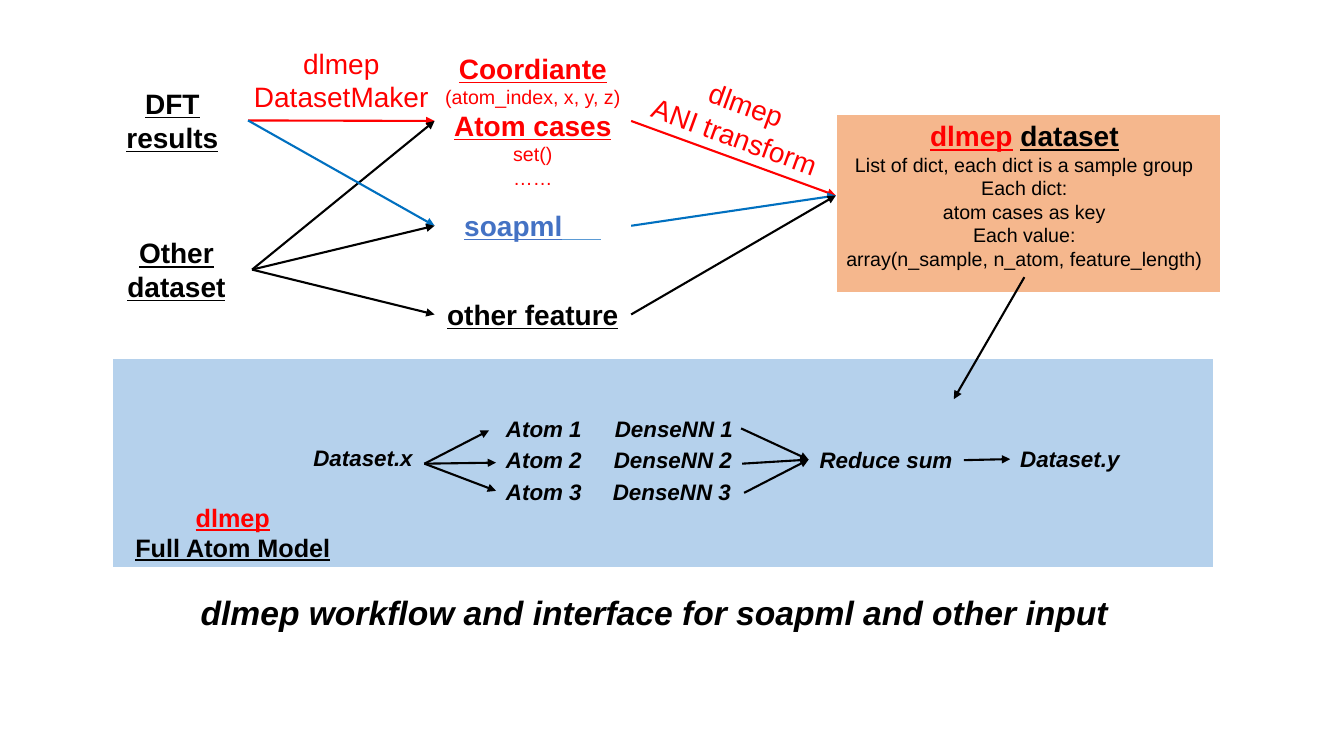
import pptx
import pptx.util
import pptx.dml.color
import pptx.enum.shapes
import pptx.enum.text
import pptx.oxml
import pptx.oxml.ns
import lxml.etree

Inches = pptx.util.Inches
ALIGN = pptx.enum.text.PP_ALIGN

COLORS = {"black": "000000", "red": "FF0000", "blue": "0070C0", "indigo": "4472C4",
          "sky": "5B9BD5", "orange": "ED7D31", "white": "FFFFFF"}

# Text styles: size, colour, flags (b bold, i italic, u underlined)
HEAD = (20, "black", "bu")
RED_HEAD = (20, "red", "bu")
RED_TOOL = (20, "red", "")
RED_NOTE = (14, "red", "")
NOTE = (14, "black", "")
STEP = (16, "black", "bi")

# Panels: left, top, width, height, fill, opacity in percent
PANELS = [
    (8.29, 1.13, 3.82, 1.77, "orange", 55),
    (1.11, 3.55, 10.93, 2.08, "sky", 45),
]

# Labels: name -> (left, top, width, height), wrap, rotation, paragraphs of (text, style) runs
LABELS = {
    "dft": ((0.96, 0.81, 1.5, 0.77), True, 0, [[("DFT results", HEAD)]]),
    "other": ((1, 2.29, 1.5, 0.77), True, 0, [[("Other dataset", HEAD)]]),
    "maker": ((2.41, 0.41, 1.95, 0.77), False, 0,
              [[("dlmep", RED_TOOL)], [("DatasetMaker", RED_TOOL)]]),
    "coordinate": ((4.31, 0.46, 1.95, 1.48), False, 0,
                   [[("Coordiante", RED_HEAD)], [("(atom_index, x, y, z)", RED_NOTE)],
                    [("Atom cases", RED_HEAD)], [("set()", RED_NOTE)], [("……", RED_NOTE)]]),
    "soapml": ((4.31, 2.02, 1.95, 0.44), True, 0,
               [[("soapml", (20, "indigo", "bu")), ("     ", (20, "sky", "bu"))]]),
    "feature": ((4.31, 2.9, 1.95, 0.44), True, 0, [[("other feature", HEAD)]]),
    "transform": ((6.38, 0.81, 1.93, 0.77), False, 20,
                  [[("dlmep", RED_TOOL)], [("ANI transform", RED_TOOL)]]),
    "dataset": ((8.29, 1.13, 3.74, 1.62), False, 0,
                [[("dlmep", RED_HEAD), (" ", (20, "black", "b")), ("dataset", HEAD)],
                 [("List of dict, each dict is a sample group", NOTE)],
                 [("Each dict:", NOTE)], [("atom cases as key", NOTE)],
                 [("Each value:", NOTE)],
                 [("array(n_sample, n_atom, feature_length)", NOTE)]]),
    "model": ((1.23, 4.93, 2.16, 0.71), False, 0,
              [[("dlmep", (18, "red", "bu"))], [("Full Atom Model", (18, "black", "bu"))]]),
    "title": ((1.85, 5.82, 9.28, 0.91), False, 0,
              [[("dlmep workflow and interface for soapml and other input",
                 (24, "black", "bi"))]]),
}

# Model steps: text -> left, top, width
STEPS = {
    "Dataset.x": (3.01, 4.36, 1.2),
    "Reduce sum": (8.03, 4.38, 1.53),
    "Dataset.y": (10.02, 4.37, 1.2),
}
STEP_HEIGHT = 0.37
BRANCHES, BRANCH_TOP, BRANCH_PITCH = 3, 4.07, 0.31
ATOM_LEFT, ATOM_WIDTH = 4.92, 0.96
DENSE_LEFT, DENSE_WIDTH = 6, 1.38

# Arrows: from, to, colour; an end is a point or a (label, side) pair
TOP, LEFT, BOTTOM, RIGHT = range(4)
SPLIT, MERGE = (4.21, 4.6), (8.02, 4.56)
ARROWS = [
    (("dft", RIGHT), ("coordinate", LEFT), "red"),
    (("coordinate", RIGHT), ("dataset", LEFT), "red"),
    (("other", RIGHT), ("coordinate", LEFT), "black"),
    (("soapml", RIGHT), ("dataset", LEFT), "blue"),
    (("dft", RIGHT), ("soapml", LEFT), "blue"),
    (("other", RIGHT), ("soapml", LEFT), "black"),
    (("feature", RIGHT), ("dataset", LEFT), "black"),
    (("other", RIGHT), ("feature", LEFT), "black"),
    (("dataset", BOTTOM), (9.46, 3.96), "black"),
    (SPLIT, (4.85, 4.27), "black"),
    (SPLIT, (4.92, 4.59), "black"),
    (SPLIT, (4.92, 4.87), "black"),
    ((7.35, 4.25), MERGE, "black"),
    ((7.36, 4.6), MERGE, "black"),
    ((7.38, 4.89), MERGE, "black"),
    (("Reduce sum", RIGHT), ("Dataset.y", LEFT), "black"),
]


def rgb(name):
    return pptx.dml.color.RGBColor.from_string(COLORS[name])


def add_panel(slide, left, top, width, height, color, opacity):
    sp = slide.shapes.add_shape(pptx.enum.shapes.MSO_SHAPE.RECTANGLE, Inches(left),
                                Inches(top), Inches(width), Inches(height))
    sp.shadow.inherit = False
    sp.fill.solid()
    sp.fill.fore_color.rgb = rgb(color)
    clr = sp.fill._xPr.find(".//" + pptx.oxml.ns.qn("a:srgbClr"))
    alpha = lxml.etree.SubElement(clr, pptx.oxml.ns.qn("a:alpha"))
    alpha.set("val", str(opacity * 1000))
    sp.line.color.rgb = rgb("white")
    sp.line.width = pptx.util.Pt(1)


def add_label(slide, box, wrap, rotation, paragraphs, align=ALIGN.CENTER):
    sp = slide.shapes.add_textbox(*(Inches(v) for v in box))
    sp.rotation = rotation
    tf = sp.text_frame
    tf.word_wrap = wrap
    for i, runs in enumerate(paragraphs):
        p = tf.add_paragraph() if i else tf.paragraphs[0]
        p.alignment = align
        for text, (size, color, flags) in runs:
            r = p.add_run()
            r.text = text
            r.font.name = "Arial"
            r.font.size = pptx.util.Pt(size)
            r.font.color.rgb = rgb(color)
            r.font.bold = "b" in flags
            r.font.italic = "i" in flags
            r.font.underline = "u" in flags
    return sp


def add_arrow(slide, start, end, color, labels):
    cx = slide.shapes.add_connector(pptx.enum.shapes.MSO_CONNECTOR.STRAIGHT, 0, 0, 0, 0)
    if start[0] in labels:
        cx.begin_connect(labels[start[0]], start[1])
    else:
        cx.begin_x, cx.begin_y = (Inches(v) for v in start)
    if end[0] in labels:
        cx.end_connect(labels[end[0]], end[1])
    else:
        cx.end_x, cx.end_y = (Inches(v) for v in end)
    cx.line.color.rgb = rgb(color)
    cx.line.width = pptx.util.Pt(1.5)
    ln = cx.line._get_or_add_ln()
    lxml.etree.SubElement(ln, pptx.oxml.ns.qn("a:tailEnd")).set("type", "triangle")
    lxml.etree.SubElement(cx._element.spPr, pptx.oxml.ns.qn("a:effectLst"))


def main():
    prs = pptx.Presentation()
    prs.slide_width, prs.slide_height = Inches(13.33), Inches(7.5)
    slide = prs.slides.add_slide(prs.slide_layouts[6])

    for panel in PANELS:
        add_panel(slide, *panel)
    labels = {name: add_label(slide, *label) for name, label in LABELS.items()}

    steps = dict(STEPS)
    for i in range(BRANCHES):
        top = BRANCH_TOP + i * BRANCH_PITCH
        steps[f"Atom {i + 1}"] = (ATOM_LEFT, top, ATOM_WIDTH)
        steps[f"DenseNN {i + 1}"] = (DENSE_LEFT - i * 0.01, top, DENSE_WIDTH)
    for text, box in steps.items():
        labels[text] = add_label(slide, (*box, STEP_HEIGHT), False, 0,
                                 [[(text, STEP)]], ALIGN.LEFT)

    for start, end, color in ARROWS:
        add_arrow(slide, start, end, color, labels)
    prs.save("out.pptx")


if __name__ == "__main__":
    main()
